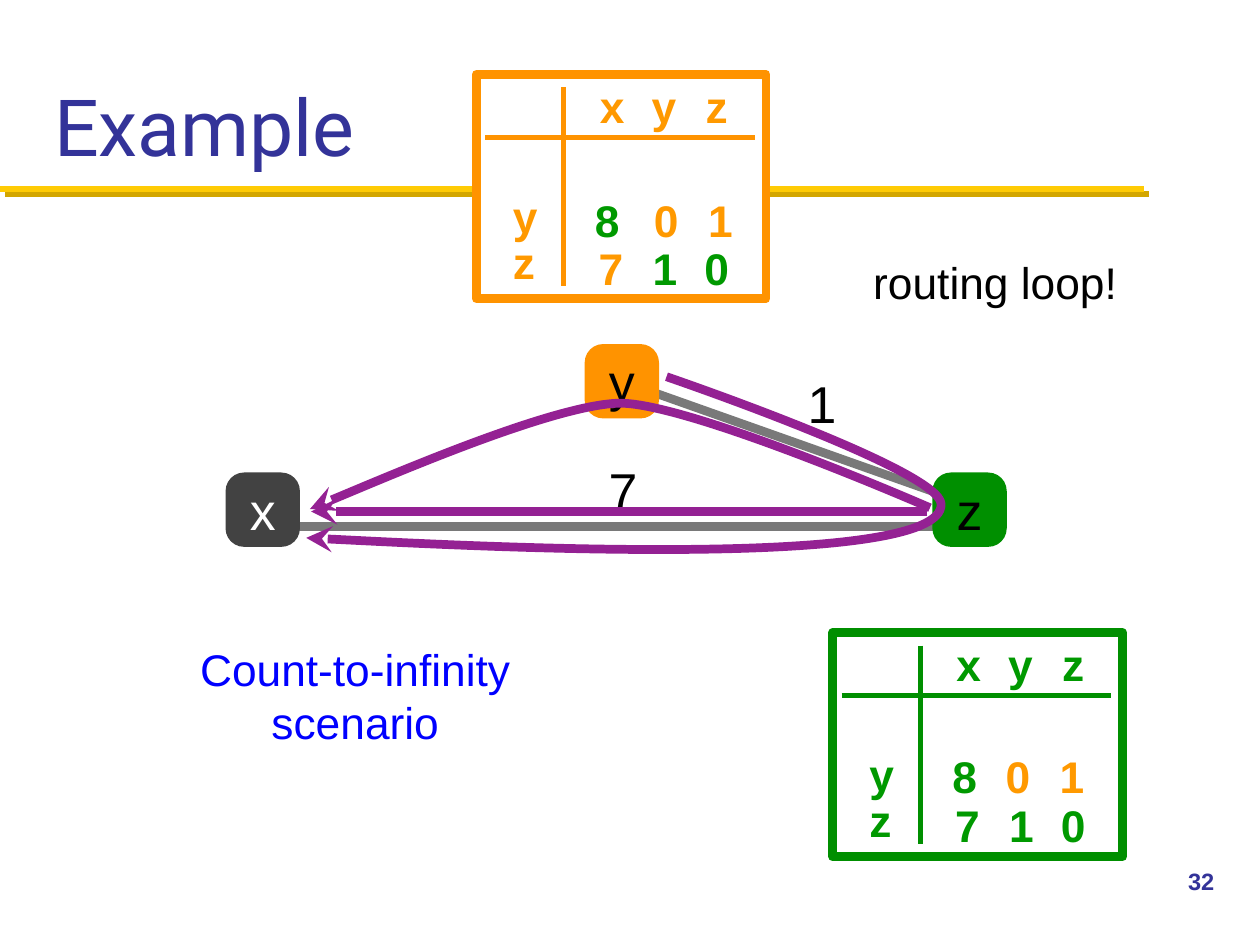
from lxml.etree import SubElement
from pptx import Presentation
from pptx.dml.color import RGBColor
from pptx.enum.shapes import MSO_CONNECTOR, MSO_SHAPE
from pptx.enum.text import MSO_ANCHOR, PP_ALIGN
from pptx.oxml.ns import qn
from pptx.util import Pt

COLORS = {
    "white": "FFFFFF", "black": "000000", "navy": "333399", "blue": "0000FF",
    "gold": "FFCB05", "gold shadow": "D3A600", "gray": "797979",
    "charcoal": "424242", "purple": "942193",
    "orange": "FF9300", "orange text": "FF9900",
    "green": "008F00", "green text": "009900",
}

# Distance tables: left/top, frame colour, and rows of (text, colour) per cell.
# Each row has its top and the left edges of its cells, relative to the frame.
O, G = "orange text", "green text"
TABLES = [
    {"at": (272.2, 42.5), "frame": "orange", "ink": O, "rows": [
        (64.8, (64.8, 98.6, 129.6), [("8", G), ("0", O), ("1", O)]),
        (92.2, (67, 97.9, 127.4), [("7", O), ("1", G), ("0", G)])]},
    {"at": (475.9, 361.4), "frame": "green", "ink": G, "rows": [
        (63.4, (65.5, 95.8, 126.7), [("8", G), ("0", O), ("1", O)]),
        (91.4, (67, 97.9, 127.4), [("7", G), ("1", G), ("0", G)])]},
]
TABLE_SIZE = (165.6, 128.2)
COLUMN_HEADS = [("x", 67.7), ("y", 97.2), ("z", 128.2)]
ROW_HEADS = [("y", 62.6), ("z", 88.6)]

# Network: node name, left, top, fill, text colour
NODE_SIZE = 42.5
NODES = [
    ("x", 128.9, 270, "charcoal", "white"),
    ("z", 532.8, 270, "green", "black"),
    ("y", 334.1, 196.6, "orange", "black"),
]
LINKS = [((165.6, 301), (549.4, 301)), ((366.5, 221.8), (549.4, 286.6))]
COSTS = [("7", 344.9, 259.2), ("1", 458.6, 209.5)]

# Packet routes: a start point, then three points for each Bezier segment
ROUTES = [
    [(531.4, 290.2), (531.4, 290.2), (394.6, 230.4), (354.2, 230.4),
     (316.8, 231.1), (177.1, 290.9), (177.1, 290.9)],
    [(380.9, 215.3), (380.9, 215.3), (537.1, 268.6), (537.8, 288),
     (540, 327.6), (175, 307.4), (175, 307.4)],
]
DIRECT_ROUTE = ((529.9, 292.3), (177.8, 292.3))

deck = Presentation()
deck.slide_width, deck.slide_height = Pt(720), Pt(540)
page = deck.slides.add_slide(deck.slide_layouts[6])


def color(name):
    return RGBColor.from_string(COLORS[name])


def write(shape, text, size, ink, font="Arial", bold=False, centered=False,
          anchor=MSO_ANCHOR.MIDDLE, insets=(2.9, 2.9)):
    frame = shape.text_frame
    frame.word_wrap = True
    frame.vertical_anchor = anchor
    frame.margin_left = frame.margin_right = Pt(insets[0])
    frame.margin_top = frame.margin_bottom = Pt(insets[1])
    para = frame.paragraphs[0]
    para.alignment = PP_ALIGN.CENTER if centered else PP_ALIGN.LEFT
    span = para.add_run()
    span.text = text
    span.font.name, span.font.size, span.font.bold = font, Pt(size), bold
    span.font.color.rgb = color(ink)


def add_text(left, top, width, height, text, size, ink, **style):
    box = page.shapes.add_textbox(Pt(left), Pt(top), Pt(width), Pt(height))
    write(box, text, size, ink, **style)


def add_box(kind, left, top, width, height, fill):
    box = page.shapes.add_shape(kind, Pt(left), Pt(top), Pt(width), Pt(height))
    box.shadow.inherit = False
    box.fill.solid()
    box.fill.fore_color.rgb = color(fill)
    box.line.fill.background()
    return box


def set_line(shape, ink, width, arrow=False):
    shape.line.color.rgb = color(ink)
    shape.line.width = Pt(width)
    if arrow:
        line = shape.line._get_or_add_ln()
        SubElement(line, qn("a:tailEnd"), type="stealth")


def add_line(start, end, ink, width, arrow=False):
    line = page.shapes.add_connector(
        MSO_CONNECTOR.STRAIGHT, *(Pt(value) for value in (*start, *end)))
    set_line(line, ink, width, arrow)
    return SubElement(line._element.spPr, qn("a:effectLst"))


def add_curve(points, ink, width):
    builder = page.shapes.build_freeform(
        *(round(100 * value) for value in points[0]), scale=Pt(1) / 100)
    builder.add_line_segments(
        [(round(100 * x), round(100 * y)) for x, y in points[1:]], close=False)
    curve = builder.convert_to_shape()
    curve.shadow.inherit = False
    curve.fill.background()
    set_line(curve, ink, width, arrow=True)
    # Join every three straight steps into one cubic segment
    steps = list(curve._element.iter(qn("a:lnTo")))
    for first in range(0, len(steps), 3):
        segment = SubElement(steps[first].getparent(), qn("a:cubicBezTo"))
        for step in steps[first:first + 3]:
            segment.append(step[0])
            step.getparent().remove(step)


def add_cell(left, top, text, ink, height=36.7):
    add_text(left, top, 21, height, text, 25.3, ink, bold=True)


# Title rule with its offset shadow
effects = add_line((0, 108), (653.8, 108), "gold", 3.5)
shadow = SubElement(effects, qn("a:outerShdw"), dist=str(Pt(4.2)),
                    dir="2700000", blurRad="0", rotWithShape="0")
SubElement(shadow, qn("a:srgbClr"), val=COLORS["gold shadow"])

# Title and page number
add_text(23.8, 12.2, 671.8, 90, "Example", 45, "navy", font="Roboto",
         anchor=MSO_ANCHOR.BOTTOM, insets=(7.2, 3.6))
add_text(671.8, 491.8, 48.2, 36, "32", 13.5, "navy", bold=True,
         anchor=MSO_ANCHOR.TOP, insets=(7.2, 3.6))

# Distance tables
for table in TABLES:
    x, y = table["at"]
    frame = add_box(MSO_SHAPE.RECTANGLE, x, y, *TABLE_SIZE, "white")
    set_line(frame, table["frame"], 5)
    add_line((x + 5, y + 36), (x + 159, y + 36), table["frame"], 3)
    add_line((x + 50, y + 7.5), (x + 50, y + 121), table["frame"], 3)
    for text, left in COLUMN_HEADS:
        add_cell(x + left, y + 1.4, text, table["ink"], height=33.1)
    for text, top in ROW_HEADS:
        add_cell(x + 18, y + top, text, table["ink"])
    for top, lefts, cells in table["rows"]:
        for left, (text, ink) in zip(lefts, cells):
            add_cell(x + left, y + top, text, ink)

# Network links, nodes and costs
for start, end in LINKS:
    add_line(start, end, "gray", 5)
for name, left, top, fill, ink in NODES:
    node = add_box(MSO_SHAPE.ROUNDED_RECTANGLE, left, top,
                   NODE_SIZE, NODE_SIZE, fill)
    node.adjustments[0] = 0.25
    write(node, name, 29.6, ink, centered=True, insets=(0, 0))
for cost, left, top in COSTS:
    add_text(left, top, 23, 41.8, cost, 29.6, "black")

# Packet routes
add_line(*DIRECT_ROUTE, "purple", 5, arrow=True)
for route in ROUTES:
    add_curve(route, "purple", 5)

# Remarks
add_text(496.1, 143.3, 169.2, 36, "routing loop!", 25.3, "black")
add_text(66.2, 363.6, 273.6, 67, "Count-to-infinity scenario", 25.3, "blue",
         centered=True)

deck.save("out.pptx")
